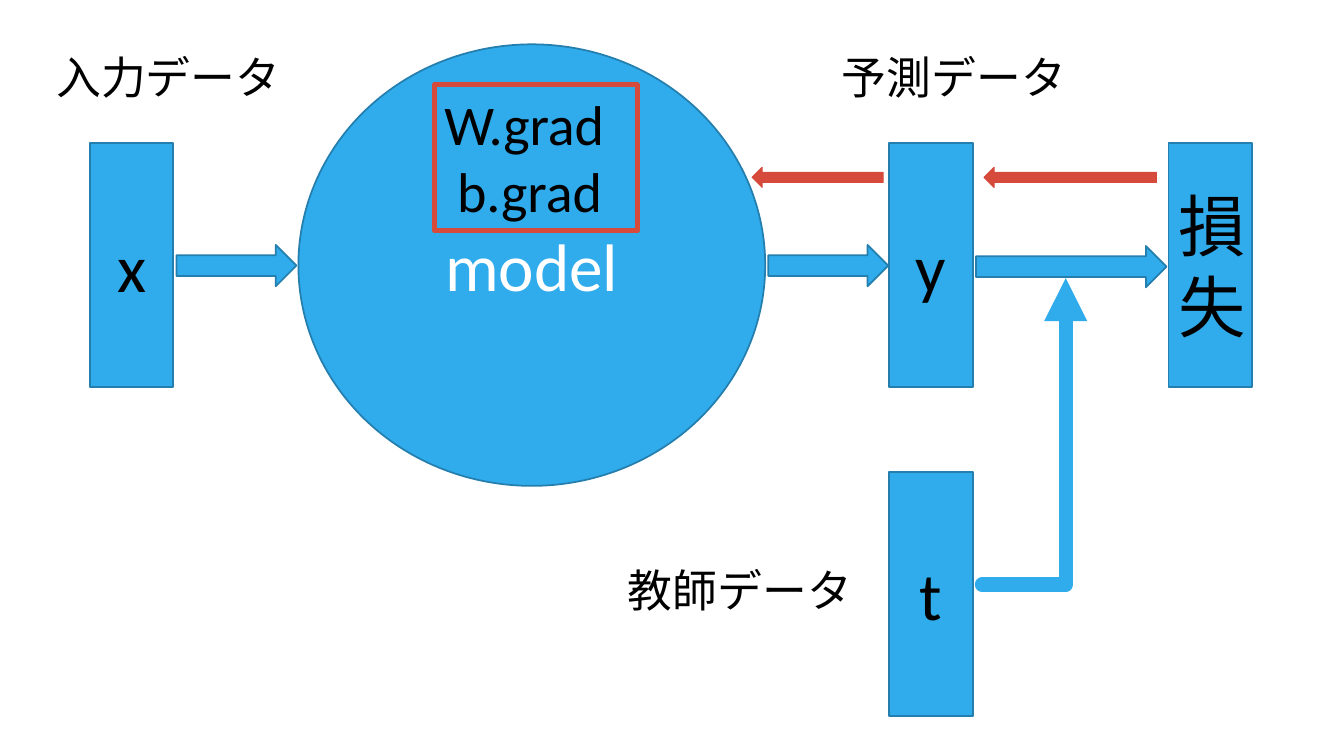
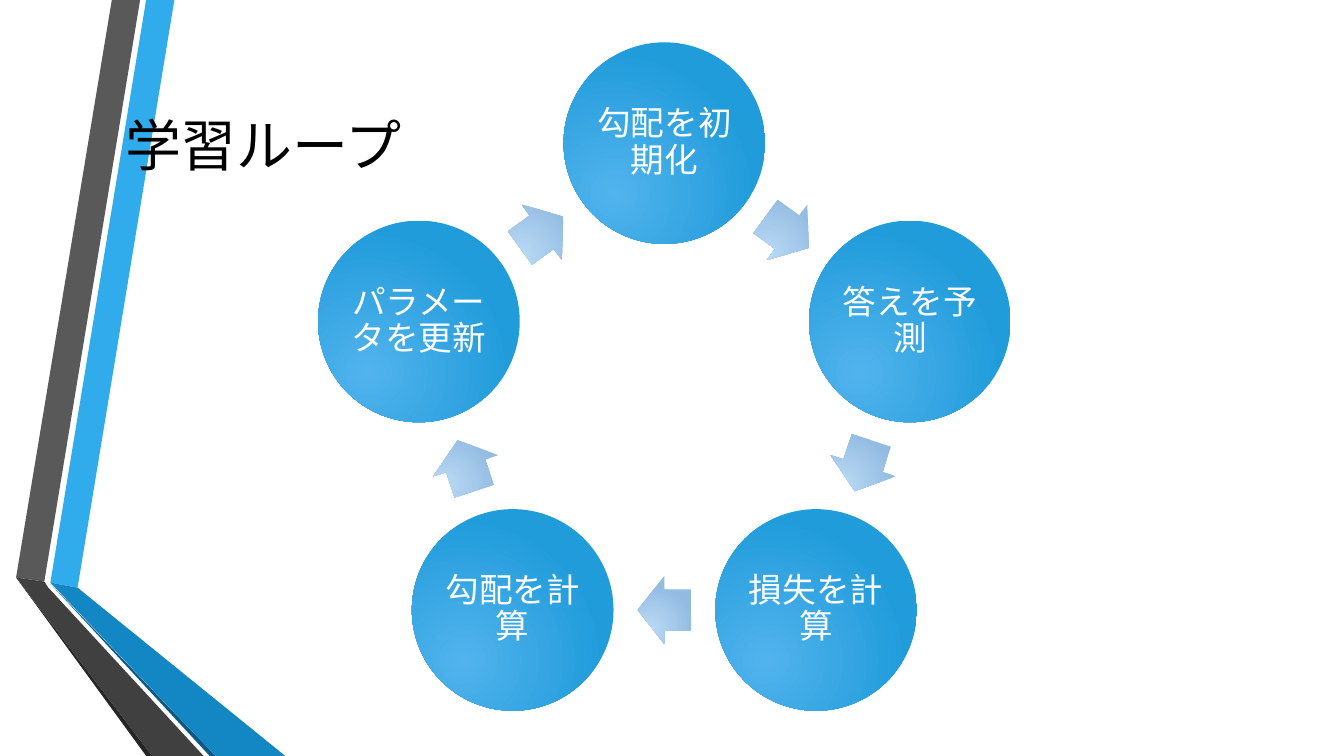
import math

import pptx
import pptx.dml.color
import pptx.enum.dml
import pptx.enum.shapes
import pptx.enum.text
import pptx.oxml
import pptx.oxml.ns
import pptx.util
from pptx.util import Inches

RGBColor = pptx.dml.color.RGBColor
SHAPES = pptx.enum.shapes.MSO_SHAPE
ALIGN = pptx.enum.text.PP_ALIGN
ANCHOR = pptx.enum.text.MSO_ANCHOR
AUTO_SIZE = pptx.enum.text.MSO_AUTO_SIZE

FONT = "Calibri"
BLACK = RGBColor(0x00, 0x00, 0x00)
WHITE = RGBColor(0xFF, 0xFF, 0xFF)
BLUE = RGBColor(0x30, 0xAC, 0xEC)
BLUE_EDGE = RGBColor(0x24, 0x7F, 0xAF)
BLUE_SHADE = RGBColor(0x12, 0x87, 0xC3)
BLUE_DEEP = RGBColor(0x0C, 0x5A, 0x82)
RED = RGBColor(0xD6, 0x4A, 0x3B)
GRAY = RGBColor(0x59, 0x59, 0x59)
GRAY_SHADE = RGBColor(0x40, 0x40, 0x40)
GRAY_DEEP = RGBColor(0x26, 0x26, 0x26)
STEP_GRADIENT = (RGBColor(0x51, 0xB3, 0xED), RGBColor(0x21, 0x9C, 0xDB))
ARROW_GRADIENT = (RGBColor(0xB9, 0xD9, 0xF5), RGBColor(0x92, 0xBB, 0xE2))


# Shared helpers
def xml(markup):
    return pptx.oxml.parse_xml(markup.replace(
        " ", f" {pptx.oxml.ns.nsdecls('a')} ", 1))


def write(shape, text, size, color, align=ALIGN.LEFT, anchor=ANCHOR.TOP):
    frame = shape.text_frame
    frame.text = text
    frame.vertical_anchor = anchor
    for paragraph in frame.paragraphs:
        paragraph.alignment = align
        for run in paragraph.runs:
            run.font.name = FONT
            run.font.size = pptx.util.Pt(size)
            run.font.color.rgb = color


def add_shape(slide, kind, left, top, width, height, fill=BLUE,
              edge=BLUE_EDGE, edge_width=1.25):
    shape = slide.shapes.add_shape(
        kind, Inches(left), Inches(top), Inches(width), Inches(height))
    shape.shadow.inherit = False
    shape.fill.solid()
    shape.fill.fore_color.rgb = fill
    shape.line.color.rgb = edge
    shape.line.width = pptx.util.Pt(edge_width)
    return shape


def add_text(slide, text, left, top, width, height, size):
    box = slide.shapes.add_textbox(
        Inches(left), Inches(top), Inches(width), Inches(height))
    box.text_frame.word_wrap = True
    box.text_frame.auto_size = AUTO_SIZE.SHAPE_TO_FIT_TEXT
    write(box, text, size, BLACK)
    return box


def apply_radial_gradient(shape, colors):
    """Glow that spreads from the lower left of the shape."""
    shape.line.fill.background()
    shape.fill.gradient()
    for stop, color, position in zip(shape.fill.gradient_stops, colors, (0, 1)):
        stop.color.rgb = color
        stop.position = position
    linear = shape._element.spPr.find(".//" + pptx.oxml.ns.qn("a:lin"))
    linear.getparent().replace(linear, xml(
        '<a:path path="circle"><a:fillToRect l="50000" t="100000" '
        'r="100000" b="50000"/></a:path>'))


# Slide 1: data flow through the model
def add_teacher_arrow(slide, start_x, start_y, end_x, end_y):
    connector = slide.shapes.add_connector(
        pptx.enum.shapes.MSO_CONNECTOR.ELBOW,
        Inches(start_x), Inches(start_y), Inches(end_x), Inches(end_y))
    connector.line.color.rgb = BLUE
    connector.line.width = pptx.util.Pt(10.25)
    properties = connector._element.spPr
    properties.find(pptx.oxml.ns.qn("a:prstGeom")).set("prst", "bentConnector2")
    line = properties.find(pptx.oxml.ns.qn("a:ln"))
    line.set("cap", "rnd")
    line.append(xml("<a:round />"))
    line.append(xml('<a:tailEnd type="triangle"/>'))
    properties.append(xml("<a:effectLst />"))


def add_flow_diagram(slide, left, top):
    # Data blocks and model
    for text, x, y in (("x", 0.43, 0.98), ("y", 8.36, 0.98),
                       ("t", 8.36, 4.24), ("損失", 11.13, 0.98)):
        block = add_shape(slide, SHAPES.RECTANGLE, left + x, top + y, 0.83, 2.42)
        write(block, text, 48, BLACK, ALIGN.CENTER, ANCHOR.MIDDLE)
    model = add_shape(slide, SHAPES.OVAL, left + 2.5, top, 4.63, 4.38)
    write(model, "model", 48, WHITE, ALIGN.CENTER, ANCHOR.MIDDLE)

    # Forward arrows
    for x, y, width in ((1.29, 1.99, 1.19), (7.16, 1.99, 1.19), (9.22, 2, 1.89)):
        add_shape(slide, SHAPES.RIGHT_ARROW, left + x, top + y, width, 0.41)

    # Labels
    for text, x, y in (("入力データ", 0, 0), ("予測データ", 7.79, 0),
                       ("教師データ", 5.67, 5.09)):
        add_text(slide, text, left + x, top + y, 2.59, 0.64, 32)
    add_teacher_arrow(slide, left + 9.28, top + 5.36, left + 10.11, top + 2.32)

    # Gradients flowing backward
    gradients = add_text(slide, "W.grad\n b.grad",
                         left + 3.85, top + 0.4, 2.01, 1.45, 40)
    gradients.line.color.rgb = RED
    gradients.line.width = pptx.util.Pt(3.5)
    for x, width in ((9.3, 1.71), (7, 1.3)):
        add_shape(slide, SHAPES.LEFT_ARROW, left + x, top + 1.22, width, 0.2,
                  RED, RED, 0)


# Slide 2: learning loop
def add_ribbon(slide, left, top):
    bands = (
        (BLUE, ((0.34, 5.78), (0.61, 5.83), (1.57, 0), (1.29, 0))),
        (GRAY, ((1.23, 0), (0.95, 0), (0, 5.73), (0.28, 5.77))),
        (GRAY_DEEP, ((0, 5.73), (1.29, 7.5), (1.35, 7.5))),
        (BLUE_DEEP, ((0.34, 5.79), (1.92, 7.5), (1.98, 7.5))),
        (BLUE_SHADE, ((0.34, 5.78), (1.98, 7.5), (2.67, 7.5), (0.61, 5.83))),
        (GRAY_SHADE, ((1.86, 7.5), (0.32, 5.83), (0.28, 5.77), (0, 5.73),
                      (1.35, 7.5))),
    )
    for color, points in bands:
        corners = [(Inches(left + x), Inches(top + y)) for x, y in points]
        builder = slide.shapes.build_freeform(*corners[0])
        builder.add_line_segments(corners[1:], close=True)
        band = builder.convert_to_shape()
        band.shadow.inherit = False
        band.fill.solid()
        band.fill.fore_color.rgb = color
        band.line.fill.background()


def add_cycle(slide, center_x, center_y, radius, steps):
    diameter, arrow_width, arrow_height = 2, 0.53, 0.68
    turn = 360 / len(steps)
    arrow_radius = radius * math.cos(math.radians(turn / 2))
    for index, text in enumerate(steps):
        # Step circle
        angle = math.radians(index * turn)
        circle = add_shape(
            slide, SHAPES.OVAL,
            center_x + radius * math.sin(angle) - diameter / 2,
            center_y - radius * math.cos(angle) - diameter / 2,
            diameter, diameter)
        apply_radial_gradient(circle, STEP_GRADIENT)
        write(circle, text, 24, WHITE, ALIGN.CENTER, ANCHOR.MIDDLE)
        frame = circle.text_frame
        frame.margin_left = frame.margin_right = Inches(0.03)
        frame.margin_top = frame.margin_bottom = Inches(0.03)
        frame.paragraphs[0].line_spacing = 0.9

        # Arrow halfway to the next step
        rotation = (index + 0.5) * turn
        angle = math.radians(rotation)
        arrow = add_shape(
            slide, SHAPES.RIGHT_ARROW,
            center_x + arrow_radius * math.sin(angle) - arrow_width / 2,
            center_y - arrow_radius * math.cos(angle) - arrow_height / 2,
            arrow_width, arrow_height)
        arrow.adjustments[0] = 0.6
        arrow.adjustments[1] = 0.5
        arrow.rotation = rotation
        apply_radial_gradient(arrow, ARROW_GRADIENT)


def add_title(slide, text, left, top, width, height):
    title = slide.shapes.title
    title.left, title.top = Inches(left), Inches(top)
    title.width, title.height = Inches(width), Inches(height)
    write(title, text, 40, BLACK)
    title.text_frame.word_wrap = False
    title.text_frame.auto_size = AUTO_SIZE.SHAPE_TO_FIT_TEXT
    # Bring the title in front of the ribbon
    slide.shapes._spTree.append(title._element)


def main():
    presentation = pptx.Presentation()
    presentation.slide_width = Inches(13.33)
    presentation.slide_height = Inches(7.5)
    title_only, blank = presentation.slide_layouts[5], presentation.slide_layouts[6]

    flow_slide = presentation.slides.add_slide(blank)
    add_flow_diagram(flow_slide, 0.46, 0.44)

    loop_slide = presentation.slides.add_slide(title_only)
    add_ribbon(loop_slide, 0.16, 0)
    add_cycle(loop_slide, 6.59, 3.98, 2.56,
              ("勾配を初期化", "答えを予測", "損失を計算", "勾配を計算",
               "パラメータを更新"))
    add_title(loop_slide, "学習ループ", 1.14, 1.05, 3.01, 0.77)

    presentation.save("out.pptx")


if __name__ == "__main__":
    main()
